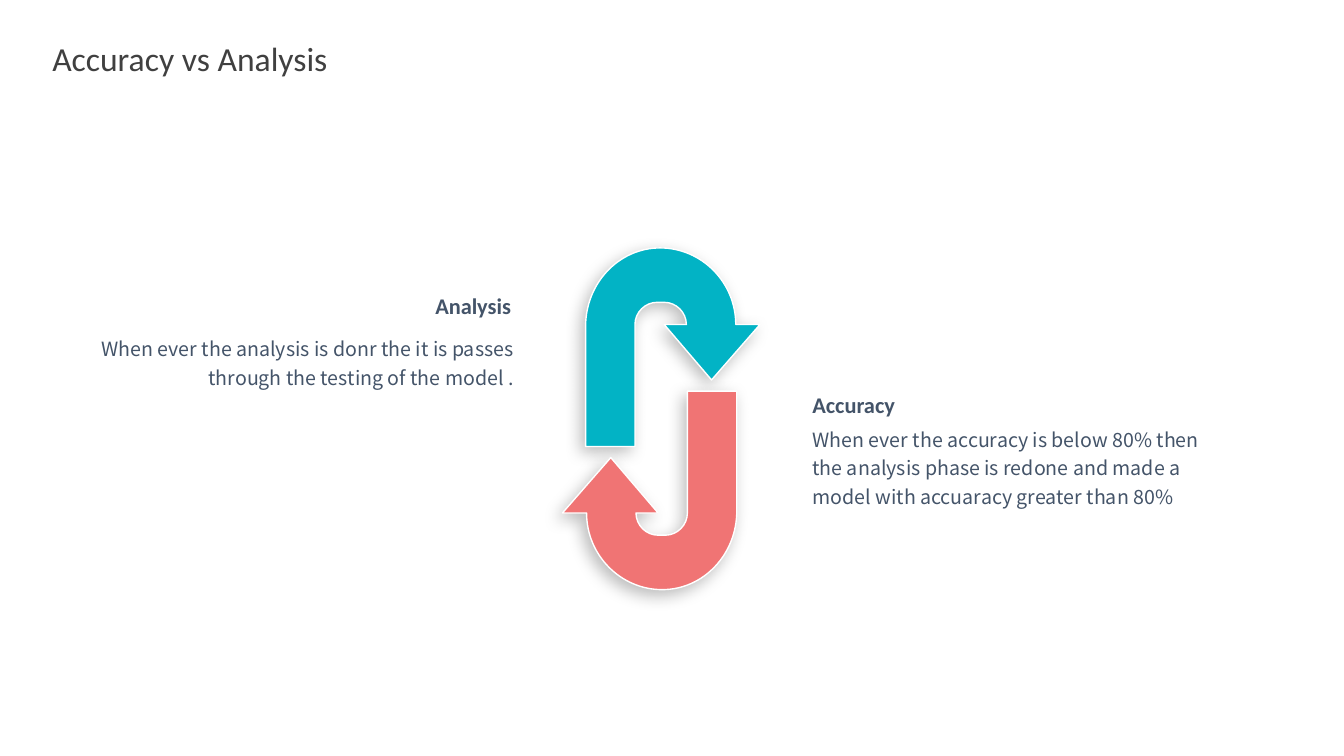
from dataclasses import dataclass

from lxml.etree import SubElement
from pptx import Presentation
from pptx.dml.color import RGBColor
from pptx.enum.text import MSO_AUTO_SIZE as AutoSize, PP_ALIGN as Align
from pptx.oxml.ns import qn
from pptx.util import Inches, Pt


@dataclass(frozen=True)
class Theme:
    title_font: str = "Calibri"
    body_font: str = "Noto Sans CJK SC"
    title_size: int = 24
    heading_size: int = 16
    body_size: int = 14
    title_color: str = "404040"
    text_color: str = "445469"
    analysis: str = "02B3C5"
    accuracy: str = "F07474"
    outline: str = "FFFFFF"
    shadow: str = "000000"


THEME = Theme()
HOOK_START = (7.06, 3.77)
HOOK_SEGMENTS = [
    [(7.54, 3.22)],
    [(7.3, 3.22)],
    [(7.3, 2.8), (6.96, 2.46), (6.55, 2.46)],
    [(6.14, 2.46), (5.81, 2.81), (5.81, 3.24)],
    [(5.81, 4.43)],
    [(6.3, 4.43)],
    [(6.3, 3.22)],
    [(6.3, 3.1), (6.4, 3), (6.52, 3)],
    [(6.59, 3)],
    [(6.71, 3), (6.81, 3.1), (6.81, 3.22)],
    [(6.59, 3.22)],
]


def half_turn(point):
    """Return the point turned by 180 degrees about the middle of both hooks."""
    return 13.12 - point[0], 8.31 - point[1]


def bend(hook):
    """Turn each run of three control points into one cubic curve."""
    lines = list(hook._element.iter(qn("a:lnTo")))
    for segment in HOOK_SEGMENTS:
        first, *others = [lines.pop(0) for _ in segment]
        if others:
            first.tag = qn("a:cubicBezTo")
            for line in others:
                first.append(line[0])
                line.getparent().remove(line)


def add_shadow(shape):
    """Give the shape a soft shadow to the lower left."""
    effects = SubElement(shape._element.spPr, qn("a:effectLst"))
    shadow = SubElement(effects, qn("a:outerShdw"), blurRad=str(Pt(12)), dist=str(Pt(5)),
                        dir=str(135 * 60000), algn="tr", rotWithShape="0")
    color = SubElement(shadow, qn("a:srgbClr"), val=THEME.shadow)
    SubElement(color, qn("a:alpha"), val="26000")


def add_hook(slide, color, turned=False):
    """Draw a hooked arrow, pointing down or turned to point up."""
    points = [HOOK_START] + [point for segment in HOOK_SEGMENTS for point in segment]
    if turned:
        points = map(half_turn, points)
    start, *corners = [(Inches(x), Inches(y)) for x, y in points]
    builder = slide.shapes.build_freeform(*start, scale=1.0)
    builder.add_line_segments(corners, close=True)
    hook = builder.convert_to_shape()
    bend(hook)
    hook.fill.solid()
    hook.fill.fore_color.rgb = RGBColor.from_string(color)
    hook.line.color.rgb = RGBColor.from_string(THEME.outline)
    hook.line.width = Pt(1)
    add_shadow(hook)


def add_text(slide, text, box, font, size, color, bold=False, align=None):
    """Add one paragraph of text in a wrapping box and return its frame."""
    frame = slide.shapes.add_textbox(*map(Inches, box)).text_frame
    frame.word_wrap = True
    frame.auto_size = AutoSize.SHAPE_TO_FIT_TEXT
    frame.text = text
    paragraph = frame.paragraphs[0]
    paragraph.alignment = align
    style = paragraph.runs[0].font
    style.name, style.size, style.bold = font, Pt(size), bold
    style.color.rgb = RGBColor.from_string(color)
    return frame


def remove_insets(frame):
    """Let the text fill its box, with a small gap above the paragraph."""
    frame.margin_left = frame.margin_top = frame.margin_right = frame.margin_bottom = 0
    frame.paragraphs[0].space_before = Pt(3)


def add_heading(slide, text, box, align):
    """Add the bold name of a phase."""
    remove_insets(add_text(slide, text, box, THEME.title_font, THEME.heading_size,
                           THEME.text_color, bold=True, align=align))


def add_body(slide, text, box, align):
    """Add the explanation of a phase."""
    frame = add_text(slide, text, box, THEME.body_font, THEME.body_size,
                     THEME.text_color, align=align)
    remove_insets(frame)
    frame.paragraphs[0].line_spacing = 1.2


def main():
    """Build the slide and save it."""
    deck = Presentation()
    deck.slide_width, deck.slide_height = Inches(40 / 3), Inches(7.5)
    slide = deck.slides.add_slide(deck.slide_layouts[6])
    add_text(slide, "Accuracy vs Analysis", (0.42, 0.33, 4.65, 0.5), THEME.title_font,
             THEME.title_size, THEME.title_color)
    add_hook(slide, THEME.analysis)
    add_hook(slide, THEME.accuracy, turned=True)
    add_heading(slide, "Analysis", (2.93, 2.9, 2.14, 0.27), Align.RIGHT)
    add_heading(slide, "Accuracy", (8.06, 3.88, 2.14, 0.27), Align.LEFT)
    add_body(slide, "When ever the accuracy is below 80% then the analysis phase is redone "
             "and made a model with accuaracy greater than 80%",
             (8.06, 4.2, 4.12, 0.85), Align.LEFT)
    add_body(slide, "When ever the analysis is donr the it is passes through the testing "
             "of the model .", (0.83, 3.3, 4.27, 0.56), Align.RIGHT)
    deck.save("out.pptx")


if __name__ == "__main__":
    main()
